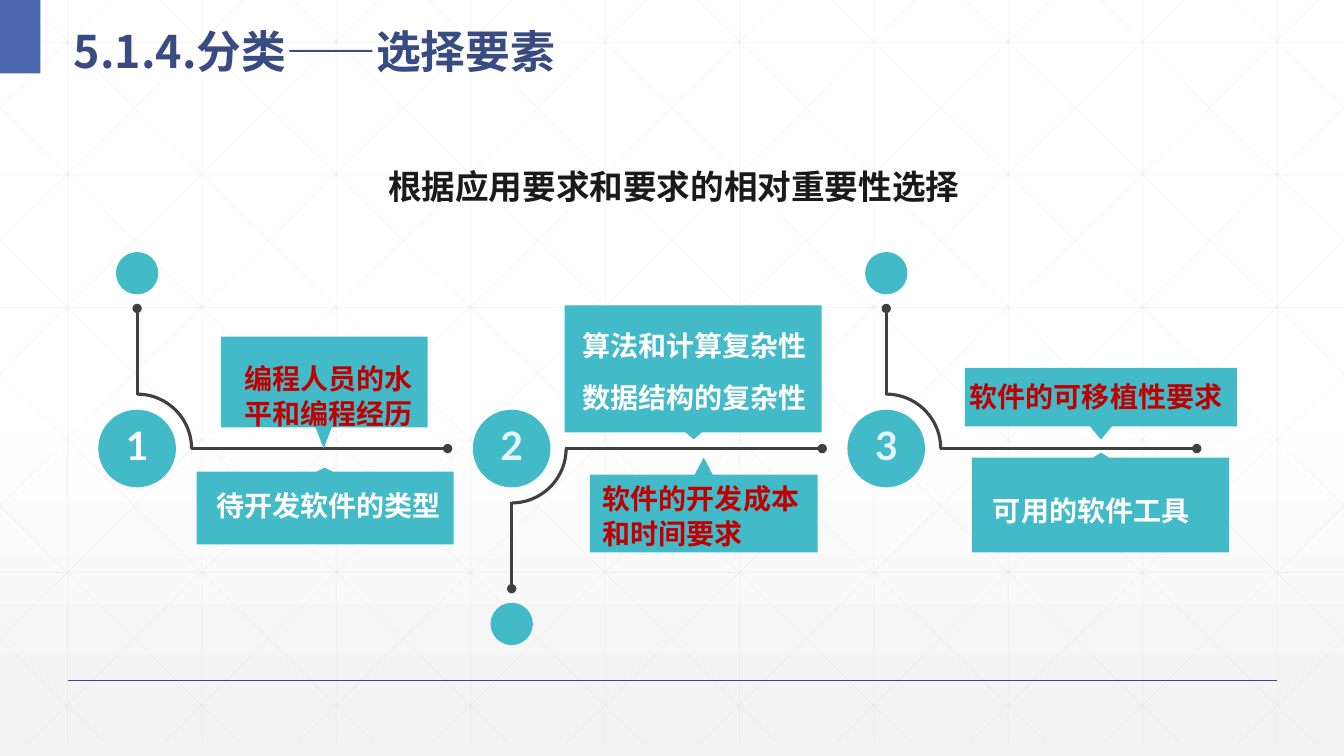
from lxml.etree import SubElement
from pptx import Presentation
from pptx.dml.color import RGBColor
from pptx.enum.shapes import MSO_CONNECTOR, MSO_SHAPE
from pptx.enum.text import MSO_ANCHOR, MSO_AUTO_SIZE, PP_ALIGN
from pptx.oxml.ns import qn
from pptx.util import Cm, Pt

# Content
CJK = "Noto Sans CJK SC"
TITLE = [("5.1.4.", CJK), ("分类——选择要素", "Arial")]
SUBTITLE = "根据应用要求和要求的相对重要性选择"
TEAL, DARK, NAVY, RED, WHITE = "42BAC8", "404040", "384C81", "C00000", "FFFFFF"

# Number, its colour, direction of the branch (-1 up, 1 down)
STEPS = [("1", WHITE, -1), ("2", "E5F5F7", 1), ("3", "E5F5F7", -1)]

# Box (left, top, right, bottom), pointer (tip x, tip y, half width),
# text box (left, top, width, height), lines, format; in inches
CALLOUTS = [
    ((2.19, 3.34, 4.24, 4.24), (3.21, 4.45, 0.08), (2.21, 3.52, 2.09, 0.77),
     ["编程人员的水平和编程经历"], dict(color=RED, align=PP_ALIGN.CENTER)),
    ((1.95, 4.68, 4.5, 5.4), (3.22, 4.64, 0.08), (1.55, 4.78, 2.98, 0.44),
     ["待开发软件的类型"], dict(color=WHITE, indent=0.5)),
    ((5.85, 4.71, 8.11, 5.48), (6.98, 4.54, 0.09), (5.38, 4.71, 4.72, 0.77),
     ["软件的开发成本", "和时间要求"], dict(color=RED, indent=0.5)),
    ((5.6, 3.03, 8.15, 4.29), (6.88, 4.36, 0.08), (5.18, 3.03, 2.96, 1.05),
     ["算法和计算复杂性", "数据结构的复杂性"],
     dict(color=WHITE, indent=0.5, spacing=37)),
    ((9.57, 3.65, 12.27, 4.23), (10.92, 4.36, 0.11), (9.02, 3.7, 3.38, 0.44),
     ["软件的可移植性要求"], dict(color=RED, indent=0.5)),
    ((9.64, 4.54, 12.19, 5.48), (10.92, 4.49, 0.08), (9.25, 4.83, 2.95, 0.44),
     ["可用的软件工具"], dict(color=WHITE, indent=0.5)),
]

# Geometry in inches
W, H, GRID_H = 13.33, 7.5, 7.37
PITCH_X, PITCH_Y, DIAGONAL_W = 1.333, 1.315, 7.46
FIRST_X, STEP_PITCH, AXIS_Y = 1.36, 3.715, 4.45
ARC_R, STEP_D, DOT_D = 0.54, 0.77, 0.42


def inch(v):
    return Cm(v * 2.54)


def rgb(value):
    return RGBColor.from_string(value)


def style(shape, fill=None, line=None, width=2.25):
    shape.shadow.inherit = False
    if fill:
        shape.fill.solid()
        shape.fill.fore_color.rgb = rgb(fill)
    else:
        shape.fill.background()
    if line:
        shape.line.color.rgb = rgb(line)
        shape.line.width = Pt(width)
    else:
        shape.line.fill.background()


def add_shape(kind, x, y, w, h, **look):
    sp = s.shapes.add_shape(kind, inch(x), inch(y), inch(w), inch(h))
    style(sp, **look)
    return sp


def add_line(x1, y1, x2, y2, color=DARK, width=2.25, alpha=None, oval=False):
    c = s.shapes.add_connector(MSO_CONNECTOR.STRAIGHT, inch(x1), inch(y1), inch(x2), inch(y2))
    c.line.color.rgb = rgb(color)
    c.line.width = Pt(width)
    props = c.element.spPr
    if alpha:
        clr = props.find(".//" + qn("a:srgbClr"))
        SubElement(clr, qn("a:alpha")).set("val", str(alpha * 1000))
    if oval:
        SubElement(props.find(qn("a:ln")), qn("a:tailEnd")).set("type", "oval")
    SubElement(props, qn("a:effectLst"))


def add_run(p, text, size=20, font=CJK, color=DARK):
    r = p.add_run()
    r.text = text
    r.font.size, r.font.bold, r.font.name = Pt(size), True, font
    r.font.color.rgb = rgb(color)
    SubElement(r.font._element, qn("a:ea")).set("typeface", CJK)


def add_text(lines, x, y, w, h, wrap=True, align=PP_ALIGN.LEFT, indent=0,
             spacing=25, **font):
    tf = s.shapes.add_textbox(inch(x), inch(y), inch(w), inch(h)).text_frame
    tf.word_wrap = wrap
    for i, line in enumerate(lines):
        p = tf.add_paragraph() if i else tf.paragraphs[0]
        p.alignment, p.line_spacing = align, Pt(spacing)
        if indent:
            p.level = 1
            p._p.get_or_add_pPr().set("marL", str(inch(indent)))
            p._p.get_or_add_pPr().set("indent", "0")
        add_run(p, line, **font)


def add_callout(box, pointer):
    left, top, right, bottom = box
    tip_x, tip_y, half = pointer
    near, far = (bottom, top) if tip_y > bottom else (top, bottom)
    points = [(left, far), (right, far), (right, near), (tip_x + half, near),
              (tip_x, tip_y), (tip_x - half, near), (left, near)]
    points = [(inch(x), inch(y)) for x, y in points]
    fb = s.shapes.build_freeform(*points[0])
    fb.add_line_segments(points[1:], close=True)
    style(fb.convert_to_shape(), fill=TEAL)


prs = Presentation()
prs.slide_width, prs.slide_height = inch(W), inch(H)
s = prs.slides.add_slide(prs.slide_layouts[5])

# Background
bg = s.background.fill
bg.gradient()
bg.gradient_angle = 270
for stop, position, color in zip(bg.gradient_stops, (0.53, 1), (WHITE, "F2F2F2")):
    stop.position, stop.color.rgb = position, rgb(color)

# Grid: verticals, horizontals, then diagonals both ways cut at the slide edges
grid = [(0.67 + i * PITCH_X, 0, 0.67 + i * PITCH_X, GRID_H) for i in range(10)]
grid += [(0, 0.42 + i * PITCH_Y, W, 0.42 + i * PITCH_Y) for i in range(6)]
slope = GRID_H / DIAGONAL_W
for i in range(-5, 10):
    start = 0.25 + i * PITCH_X
    x1, x2 = max(start, 0), min(start + DIAGONAL_W, W)
    y1, y2 = (x1 - start) * slope, (x2 - start) * slope
    grid += [(x1, y1, x2, y2), (W - x1, y1, W - x2, y2)]
for ends in grid:
    add_line(*ends, color="D9D9D9", width=0.5, alpha=25)
add_line(0.67, 6.75, 12.67, 6.75, color=NAVY, width=1)
add_shape(MSO_SHAPE.RECTANGLE, 0, 0, 0.4, 0.73, fill="4A66AC")

# Title, in front of the grid
title = s.shapes.title
title.element.getparent().append(title.element)
title.left, title.top, title.width, title.height = map(inch, (0.63, 0, 9.05, 0.73))
tf = title.text_frame
tf.auto_size, tf.vertical_anchor, tf.word_wrap = MSO_AUTO_SIZE.NONE, MSO_ANCHOR.MIDDLE, True
p = tf.paragraphs[0]
p.alignment, p.line_spacing = PP_ALIGN.LEFT, Pt(58)
for text, font in TITLE:
    add_run(p, text, size=32, font=font, color=NAVY)

# Branch lines
centers = [FIRST_X + i * STEP_PITCH for i in range(len(STEPS))]
for cx, (number, color, way) in zip(centers, STEPS):
    arc = add_shape(MSO_SHAPE.ARC, cx - ARC_R, AXIS_Y - ARC_R, 2 * ARC_R, 2 * ARC_R, line=DARK)
    if way > 0:
        arc.element.spPr.find(qn("a:xfrm")).set("flipV", "1")
    add_line(cx + 0.53, AXIS_Y, cx + 3.08, AXIS_Y, oval=True)
    add_line(cx, AXIS_Y + way * 0.53, cx, AXIS_Y + way * 1.39, oval=True)

# Callouts
for box, pointer, text_box, lines, look in CALLOUTS:
    add_callout(box, pointer)
    add_text(lines, *text_box, **look)

# Numbered circles and end dots
for cx, (number, color, way) in zip(centers, STEPS):
    for cy, d in ((AXIS_Y, STEP_D), (AXIS_Y + way * 1.74, DOT_D)):
        add_shape(MSO_SHAPE.OVAL, cx - d / 2, cy - d / 2, d, d, fill=TEAL)
    add_text([number], cx - 0.21, 4.13, 0.39, 0.57, wrap=False, align=PP_ALIGN.CENTER,
             spacing=34, size=28, font="Lato", color=color)

add_text([SUBTITLE], 3.75, 1.57, 5.92, 0.5, wrap=False, spacing=31, size=24, color="1A1A1A")

prs.save("out.pptx")
